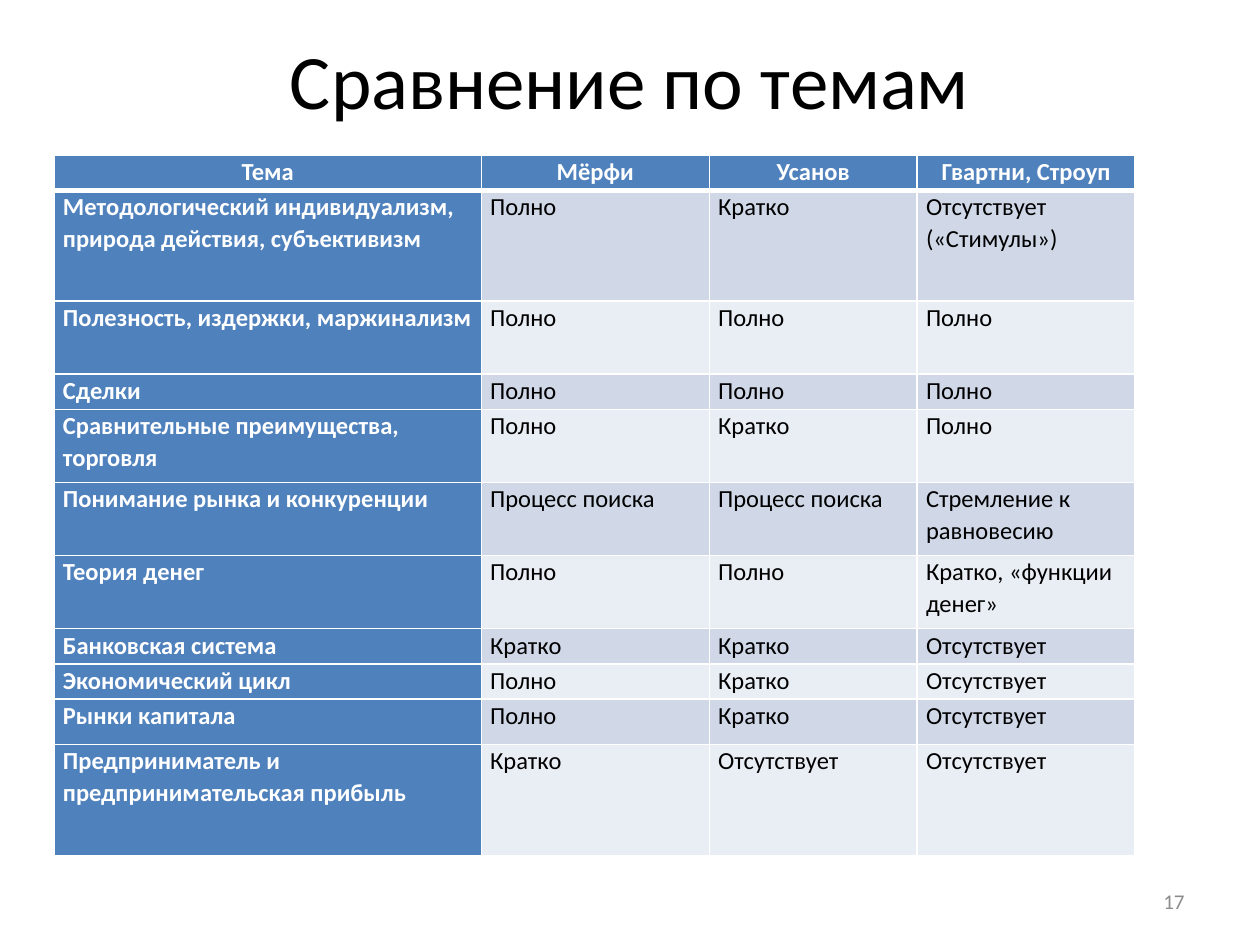
import pptx
import pptx.dml.color
import pptx.enum.text
import pptx.oxml
import pptx.oxml.ns
import pptx.util
from pptx.util import Inches

COLORS = {
    "black": "000000",
    "white": "FFFFFF",
    "gray": "8C8C8C",
    "blue": "4F81BD",
    "dark_band": "D0D8E8",
    "light_band": "E9EDF4",
}
ALIGN = pptx.enum.text.PP_ALIGN
MIDDLE = pptx.enum.text.MSO_ANCHOR.MIDDLE


def write_text(frame, text, size=14, color="black", bold=False, align=ALIGN.LEFT, spacing=None):
    para = frame.paragraphs[0]
    para.alignment = align
    para.line_spacing = spacing
    span = para.add_run()
    span.text = text
    span.font.name = "Calibri"
    span.font.size = pptx.util.Pt(size)
    span.font.bold = bold
    span.font.color.rgb = pptx.dml.color.RGBColor.from_string(COLORS[color])


def add_borders(cell, **widths):
    for side, width in widths.items():
        cell._tc.get_or_add_tcPr().append(pptx.oxml.parse_xml(
            f'<a:ln{side} {pptx.oxml.ns.nsdecls("a")} w="{pptx.util.Pt(width)}">'
            f'<a:solidFill><a:srgbClr val="{COLORS["white"]}"/></a:solidFill></a:ln{side}>'
        ))


deck = pptx.Presentation()
deck.slide_width = Inches(10)
deck.slide_height = Inches(7.5)
page = deck.slides.add_slide(deck.slide_layouts[5])

title = page.shapes.title
title.left, title.top, title.width, title.height = Inches(0.5), Inches(0), Inches(9), Inches(1.25)
title.text_frame.vertical_anchor = MIDDLE
write_text(title.text_frame, "Сравнение по темам", size=44, align=ALIGN.CENTER)

topics = [
    ("Тема", "Мёрфи", "Усанов", "Гвартни, Строуп"),
    ("Методологический индивидуализм, природа действия, субъективизм",
     "Полно", "Кратко", "Отсутствует («Стимулы»)"),
    ("Полезность, издержки, маржинализм", "Полно", "Полно", "Полно"),
    ("Сделки", "Полно", "Полно", "Полно"),
    ("Сравнительные преимущества, торговля", "Полно", "Кратко", "Полно"),
    ("Понимание рынка и конкуренции",
     "Процесс поиска", "Процесс поиска", "Стремление к равновесию"),
    ("Теория денег", "Полно", "Полно", "Кратко, «функции денег»"),
    ("Банковская система", "Кратко", "Кратко", "Отсутствует"),
    ("Экономический цикл", "Полно", "Кратко", "Отсутствует"),
    ("Рынки капитала", "Полно", "Кратко", "Отсутствует"),
    ("Предприниматель и предпринимательская прибыль",
     "Кратко", "Отсутствует", "Отсутствует"),
]
column_widths = [3.39, 1.81, 1.65, 1.73]
row_heights = [0.28, 0.88, 0.58, 0.28, 0.58, 0.58, 0.58, 0.28, 0.28, 0.36, 0.88]

table = page.shapes.add_table(
    len(topics), len(column_widths), Inches(0.43), Inches(1.23),
    Inches(sum(column_widths)), Inches(sum(row_heights)),
).table
table.first_col = True
for column, width in zip(table.columns, column_widths):
    column.width = Inches(width)
for row, height in zip(table.rows, row_heights):
    row.height = Inches(height)

for row_index, topic in enumerate(topics):
    band = "dark_band" if row_index % 2 else "light_band"
    for column_index, text in enumerate(topic):
        heading = row_index == 0 or column_index == 0
        cell = table.cell(row_index, column_index)
        cell.margin_left = cell.margin_right = Inches(0.07)
        cell.margin_top = cell.margin_bottom = Inches(0)
        add_borders(cell, L=1, R=1, T=3 if row_index == 1 else 1, B=3 if row_index == 0 else 1)
        cell.fill.solid()
        cell.fill.fore_color.rgb = pptx.dml.color.RGBColor.from_string(
            COLORS["blue" if heading else band])
        write_text(
            cell.text_frame, text, color="white" if heading else "black", bold=heading,
            align=ALIGN.CENTER if row_index == 0 else ALIGN.LEFT, spacing=1.07,
        )

number_box = page.shapes.add_textbox(Inches(7.17), Inches(6.95), Inches(2.33), Inches(0.4))
number_box.text_frame.word_wrap = True
number_box.text_frame.vertical_anchor = MIDDLE
write_text(number_box.text_frame, "17", size=12, color="gray", align=ALIGN.RIGHT)

deck.save("out.pptx")
